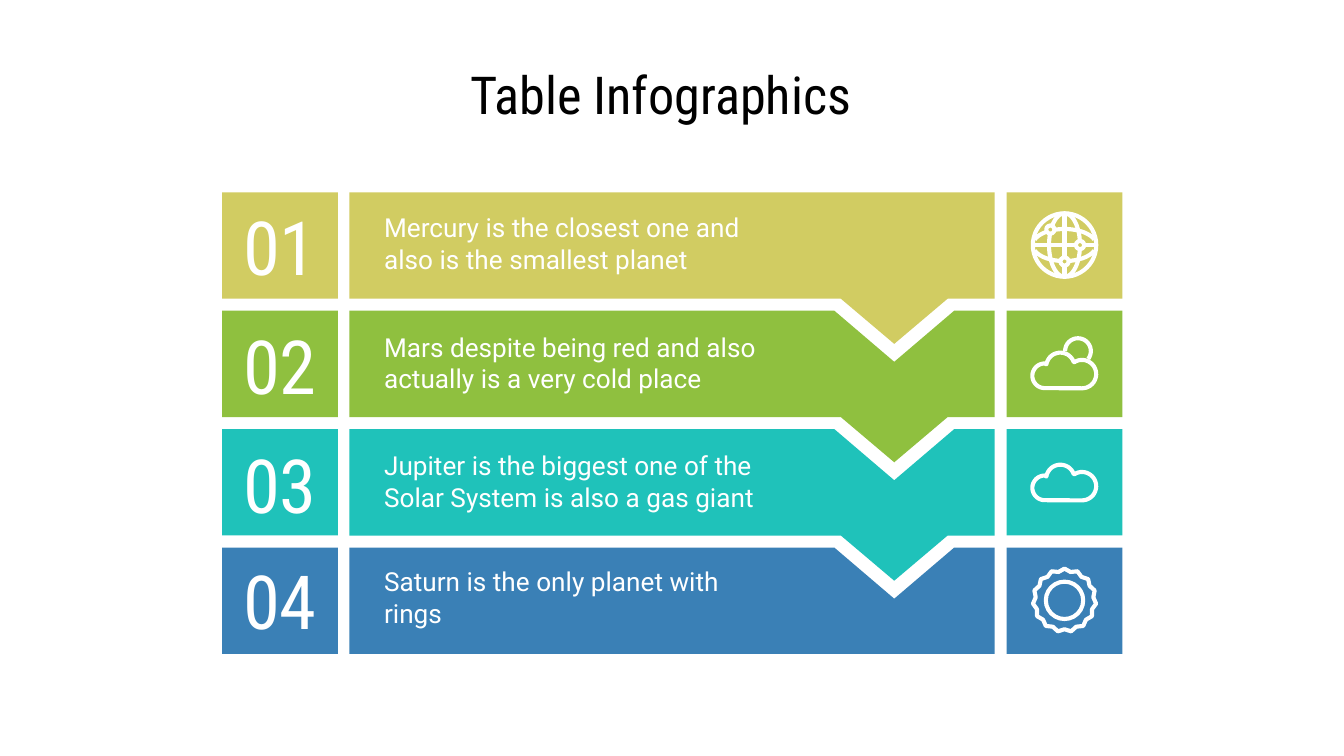
from dataclasses import dataclass
from math import cos, radians, sin
from typing import Callable

from lxml import etree
from pptx import Presentation
from pptx.dml.color import RGBColor
from pptx.enum import shapes as sh, text as tx
from pptx.oxml import ns
from pptx.util import Pt

WHITE = RGBColor(0xFF, 0xFF, 0xFF)
BLACK = RGBColor(0, 0, 0)
SAND = RGBColor(0xD1, 0xCC, 0x62)
GREEN = RGBColor(0x8F, 0xC0, 0x3F)
TEAL = RGBColor(0x1F, 0xC2, 0xBA)
BLUE = RGBColor(0x3A, 0x80, 0xB6)
HEAD, BODY = "Roboto Condensed", "Roboto"

TOP, PITCH, HIGH, SIDE = 103, 63.45, 57, 62
NUM, ICON = 119, 539.3
LEFT, RIGHT, TIP = 187.2, 532.8, 479.1
STROKE = 2.2

Point = tuple[float, float]


@dataclass
class Arc:
    x: float
    y: float
    wide: float
    high: float
    start: float
    end: float

    def points(self) -> list[Point]:
        turns = [radians(self.start + (self.end - self.start) * i / 24) for i in range(25)]
        return [(self.x + self.wide * cos(t), self.y + self.high * sin(t)) for t in turns]


@dataclass
class Row:
    label: str
    words: str
    color: RGBColor
    draw: Callable
    shift: float


CLOUD = [
    Arc(-10.6, 3.2, 6.6, 6.6, 90, 270),
    Arc(-2.2, -1.6, 7.6, 7.6, 190, 340),
    Arc(9.4, 2.3, 7.6, 7.6, 238, 450),
]


def paint(shape, fill: RGBColor | None, line: RGBColor | None = None) -> None:
    shape.shadow.inherit = False
    if fill is None:
        shape.fill.background()
    else:
        shape.fill.solid()
        shape.fill.fore_color.rgb = fill
    if line is None:
        shape.line.fill.background()
    else:
        shape.line.color.rgb = line
        shape.line.width = Pt(STROKE)


def trace(slide, points: list[Point], x: float = 0, y: float = 0, close: bool = True):
    spots = [(Pt(x + a), Pt(y + b)) for a, b in points]
    form = slide.shapes.build_freeform(*spots[0])
    form.add_line_segments(spots[1:], close=close)
    return form.convert_to_shape()


def ring(slide, x: float, y: float, wide: float, high: float, fill: RGBColor | None = None) -> None:
    oval = slide.shapes.add_shape(
        sh.MSO_SHAPE.OVAL, Pt(x - wide), Pt(y - high), Pt(2 * wide), Pt(2 * high))
    paint(oval, fill, WHITE)


def rule(slide, x: float, y: float, dx: float, dy: float) -> None:
    line = slide.shapes.add_connector(
        sh.MSO_CONNECTOR.STRAIGHT, Pt(x - dx), Pt(y - dy), Pt(x + dx), Pt(y + dy))
    line.line.color.rgb = WHITE
    line.line.width = Pt(STROKE)
    etree.SubElement(line._element.spPr, ns.qn("a:effectLst"))


def globe(slide, x: float, y: float, color: RGBColor) -> None:
    ring(slide, x, y, 17, 17)
    ring(slide, x, y, 8.3, 17)
    rule(slide, x, y, 17, 0)
    rule(slide, x, y, 0, 17)
    for start in (20, 200):
        curve = Arc(0, 0, 17, 8.6, start, start + 140)
        paint(trace(slide, curve.points(), x, y, False), None, WHITE)
    for dx, dy in ((-7.6, -8.3), (8.3, 0), (0, 8.8)):
        ring(slide, x + dx, y + dy, 2.2, 2.2, color)


def cloud(slide, x: float, y: float, color: RGBColor) -> None:
    points = [p for arc in CLOUD for p in arc.points()]
    paint(trace(slide, points, x, y), None, WHITE)


def sunny(slide, x: float, y: float, color: RGBColor) -> None:
    cloud(slide, x, y + 3.4, color)
    sun = Arc(7.2, -10, 6.9, 6.9, 180, 397)
    paint(trace(slide, sun.points(), x, y + 3.4, False), None, WHITE)


def gear(slide, x: float, y: float, color: RGBColor) -> None:
    ring(slide, x, y, 10, 10)
    teeth = []
    for i in range(30):
        size = 15.5 if i % 2 else 17
        turn = radians(12 * i - 90)
        teeth.append((size * cos(turn), size * sin(turn)))
    paint(trace(slide, teeth, x, y), None, WHITE)


def style(frame, words: str, font: str, size: float, color: RGBColor, align, pad: float) -> None:
    frame.text = words
    frame.word_wrap = True
    frame.auto_size = tx.MSO_AUTO_SIZE.NONE
    frame.vertical_anchor = tx.MSO_ANCHOR.MIDDLE
    frame.margin_left = frame.margin_right = Pt(7.2)
    frame.margin_top = frame.margin_bottom = Pt(pad)
    para = frame.paragraphs[0]
    para.alignment = align
    face = para.runs[0].font
    face.name, face.size, face.color.rgb = font, Pt(size), color


def label(slide, box: tuple, words: str, font: str, size: float, align) -> None:
    shape = slide.shapes.add_textbox(*map(Pt, box))
    style(shape.text_frame, words, font, size, WHITE, align, 3.6)


def band(slide, y: float, color: RGBColor, first: bool, last: bool) -> None:
    base = y + HIGH
    points = [(LEFT, y), (LEFT, base)]
    if not last:
        points += [(TIP - 28.6, base), (TIP, base + 24.2), (TIP + 28.6, base)]
    points += [(RIGHT, base), (RIGHT, y)]
    if not first:
        points += [(TIP + 32.1, y), (TIP, y + 27.4), (TIP - 32.1, y)]
    paint(trace(slide, points), color)


def stripe(slide, row: Row, y: float, first: bool, last: bool) -> None:
    band(slide, y, row.color, first, last)
    for x in (NUM, ICON):
        tile = slide.shapes.add_shape(sh.MSO_SHAPE.RECTANGLE, Pt(x), Pt(y), Pt(SIDE), Pt(HIGH))
        paint(tile, row.color)
    top = y + row.shift
    label(slide, (NUM, top + 6.5, SIDE, 44), row.label, HEAD, 40, tx.PP_ALIGN.CENTER)
    label(slide, (198.7, top + 10.3, 219, 34), row.words, BODY, 14, tx.PP_ALIGN.LEFT)
    row.draw(slide, ICON + SIDE / 2, y + 28.3, row.color)


ROWS = [
    Row("01", "Mercury is the closest one and also is the smallest planet", SAND, globe, 0),
    Row("02", "Mars despite being red and also actually is a very cold place", GREEN, sunny, 0.4),
    Row("03", "Jupiter is the biggest one of the Solar System is also a gas giant", TEAL, cloud, 0.6),
    Row("04", "Saturn is the only planet with rings", BLUE, gear, -0.7),
]


def main() -> None:
    deck = Presentation()
    deck.slide_width, deck.slide_height = Pt(720), Pt(405)
    slide = deck.slides.add_slide(deck.slide_layouts[5])
    title = slide.shapes.title
    title.left, title.top, title.width, title.height = map(Pt, (244.6, 32.4, 231, 35.6))
    style(title.text_frame, "Table Infographics", HEAD, 28, BLACK, tx.PP_ALIGN.LEFT, 7.2)
    for i, row in enumerate(ROWS):
        stripe(slide, row, TOP + i * PITCH, i == 0, i == len(ROWS) - 1)
    deck.save("out.pptx")


if __name__ == "__main__":
    main()
